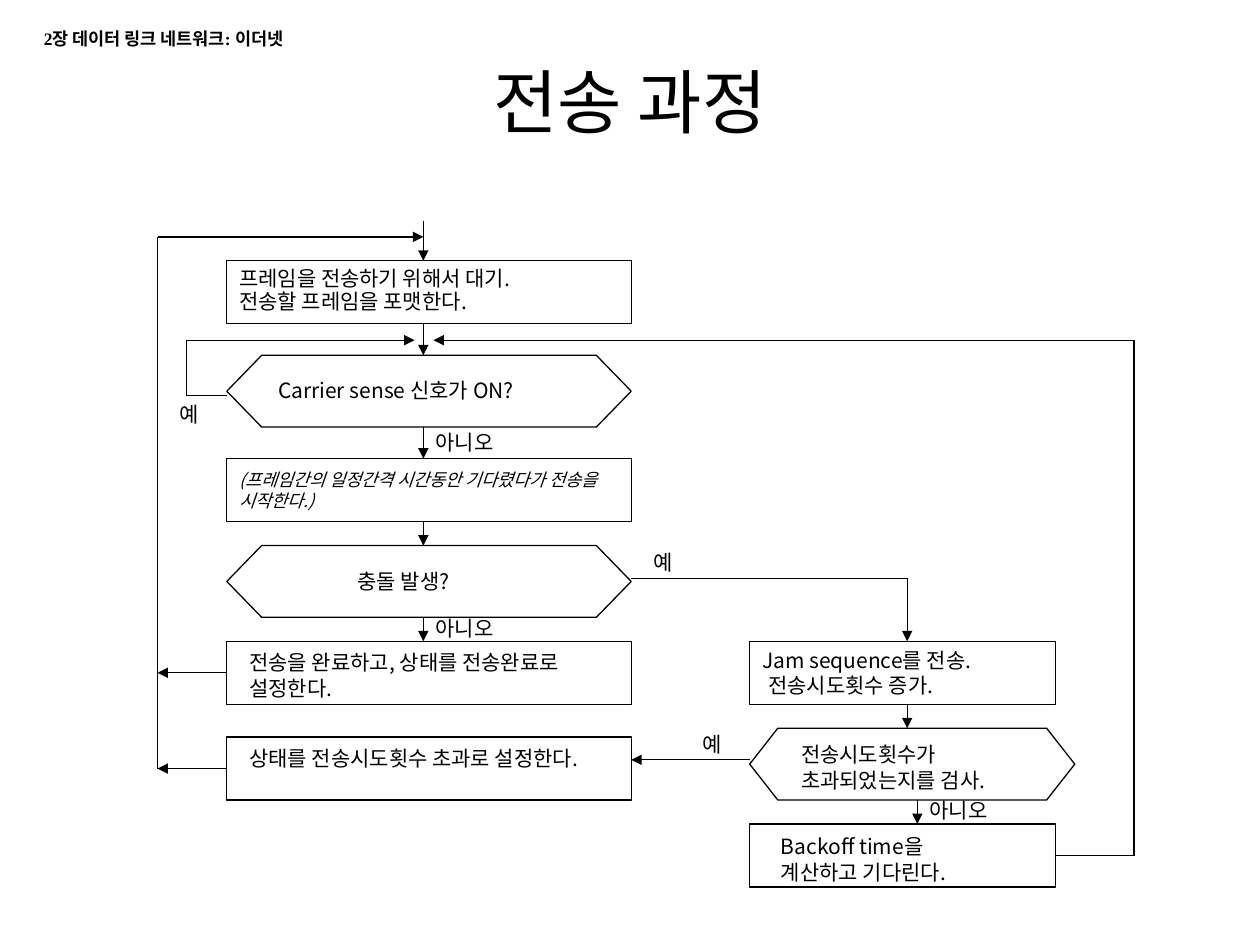
from dataclasses import dataclass

from lxml import etree
from pptx import Presentation
from pptx.dml.color import RGBColor
from pptx.enum import shapes, text
from pptx.oxml import ns
from pptx.util import Inches, Pt


@dataclass(frozen=True)
class Theme:
    ink: RGBColor = RGBColor(0, 0, 0)
    font: str = "Noto Sans CJK KR"
    serif: str = "Times New Roman"
    title: int = 40
    body: int = 12
    small: int = 10
    line: float = 0.75


theme = Theme()


def add_run(para, words, size=theme.body, font=theme.font):
    run = para.add_run()
    run.text = words
    run.font.size = Pt(size)
    run.font.name = font
    run.font.color.rgb = theme.ink
    east = etree.SubElement(run.font._element, ns.qn("a:ea"))
    east.set("typeface", theme.font)
    return run


def add_box(parent, left, top, width, height):
    """Add an empty, wrapping text box and return its text frame."""
    frame = parent.add_textbox(*map(Inches, (left, top, width, height))).text_frame
    frame.word_wrap = True
    return frame


deck = Presentation()
deck.slide_width, deck.slide_height = Inches(10), Inches(7.5)
slide = deck.slides.add_slide(deck.slide_layouts[5])

# Title
title = slide.shapes.title
title.left, title.top = Inches(0.75), Inches(0.42)
title.width, title.height = Inches(8.5), Inches(0.75)
title.text_frame.vertical_anchor = text.MSO_ANCHOR.MIDDLE
para = title.text_frame.paragraphs[0]
para.alignment = text.PP_ALIGN.CENTER
add_run(para, "전송 과정", theme.title)

# Flow chart: main column on the left, retry column on the right
flow = slide.shapes.add_group_shape().shapes
main, retry = 1.8, 5.95
main_w, retry_w, test_w = 3.21, 2.43, 2.58
step_h, test_h = 0.5, 0.57
main_end, retry_end = main + main_w, retry + retry_w

rect, hexa = shapes.MSO_SHAPE.RECTANGLE, shapes.MSO_SHAPE.HEXAGON
nodes = [
    (rect, main, 2.07, main_w, step_h, None),
    (rect, main, 3.64, main_w, step_h, None),
    (rect, main, 5.09, main_w, step_h, None),
    (rect, main, 5.85, main_w, step_h, None),
    (hexa, main, 2.82, main_w, test_h, 0.486),
    (hexa, main, 4.33, main_w, test_h, 0.486),
    (rect, retry, 5.09, retry_w, step_h, None),
    (hexa, retry, 5.78, test_w, test_h, 0.391),
    (rect, retry, 6.54, retry_w, step_h, None),
]
for kind, left, top, width, height, slant in nodes:
    node = flow.add_shape(kind, *map(Inches, (left, top, width, height)))
    node.shadow.inherit = False
    node.fill.background()
    node.line.color.rgb = theme.ink
    node.line.width = Pt(theme.line)
    if slant:
        node.adjustments[0] = slant

# Each route runs through its points; the last leg has the arrowhead
axis, jam, back = 3.36, 7.2, 7.28
outer, inner, right = 1.25, 1.48, 9
routes = [
    [(axis, 1.75), (axis, 2.07)],
    [(axis, 2.57), (axis, 2.82)],
    [(axis, 3.39), (axis, 3.64)],
    [(axis, 4.14), (axis, 4.33)],
    [(axis, 4.9), (axis, 5.09)],
    [(back, 6.35), (back, 6.54)],
    [(jam, 5.59), (jam, 5.78)],
    [(retry, 6.03), (main_end, 6.03)],
    [(main_end, 4.59), (jam, 4.59), (jam, 5.09)],
    [(main, 6.1), (outer, 6.1)],
    [(main, 5.34), (outer, 5.34)],
    [(outer, 6.1), (outer, 1.88), (axis, 1.88)],
    [(retry_end, 6.79), (right, 6.79), (right, 2.7), (3.44, 2.7)],
    [(main, 3.14), (inner, 3.14), (inner, 2.7), (3.29, 2.7)],
]
for route in routes:
    for start, end in zip(route, route[1:]):
        leg = flow.add_connector(
            shapes.MSO_CONNECTOR.STRAIGHT, *map(Inches, start + end))
        leg.line.color.rgb = theme.ink
        leg.line.width = Pt(theme.line)
        if end == route[-1]:
            tip = etree.SubElement(leg.line._get_or_add_ln(), ns.qn("a:tailEnd"))
            tip.set("type", "triangle")
        etree.SubElement(leg._element.spPr, ns.qn("a:effectLst"))

# Branch labels and one-paragraph wording
labels = [
    (1.33, 3.14, 0.55, 0.3, "예"),
    (axis, 3.36, 1.1, 0.3, "아니오"),
    (5.09, 4.31, 0.55, 0.3, "예"),
    (5.48, 5.76, 0.55, 0.3, "예"),
    (axis, 4.84, 1.1, 0.3, "아니오"),
    (back, 6.28, 1.1, 0.3, "아니오"),
    (2.11, 2.95, 2.9, 0.3, "Carrier sense 신호가 ON?"),
    (2.74, 4.46, 1.41, 0.3, "충돌 발생?"),
    (1.88, 5.11, main_w, 0.5, "전송을 완료하고, 상태를 전송완료로 설정한다."),
    (1.88, 5.87, main_w, 0.3, "상태를 전송시도횟수 초과로 설정한다."),
    (6.26, 5.84, 2.04, 0.5, "전송시도횟수가 초과되었는지를 검사."),
    (6.1, 6.57, 1.96, 0.5, "Backoff time을 계산하고 기다린다."),
]
for *place, words in labels:
    add_run(add_box(flow, *place).paragraphs[0], words)

wait = add_box(flow, main, 3.67, main_w, 0.43).paragraphs[0]
words = "(프레임간의 일정간격 시간동안 기다렸다가 전송을 시작한다.)"
add_run(wait, words, theme.small).font.italic = True

# Two-paragraph wording, with a tight second line
pairs = [
    (main, 2.06, main_w, 0.48, 0.4, 0,
     "프레임을 전송하기 위해서 대기.", "전송할 프레임을 포맷한다."),
    (retry, 5.09, test_w, 0.5, 0.5, 0.05,
     "Jam sequence를 전송.", "전송시도횟수 증가."),
]
for *place, pitch, indent, first, second in pairs:
    frame = add_box(flow, *place)
    add_run(frame.paragraphs[0], first)
    para = frame.add_paragraph()
    para.line_spacing = pitch
    para.space_before = Pt(theme.body / 2)
    para._p.get_or_add_pPr().set("marL", str(Inches(indent)))
    add_run(para, second)

# Chapter heading
head = add_box(slide.shapes, 0.25, 0.17, 4.42, 0.27).paragraphs[0]
words = "2장 데이터 링크 네트워크: 이더넷"
add_run(head, words, theme.small, theme.serif).font.bold = True

deck.save("out.pptx")
